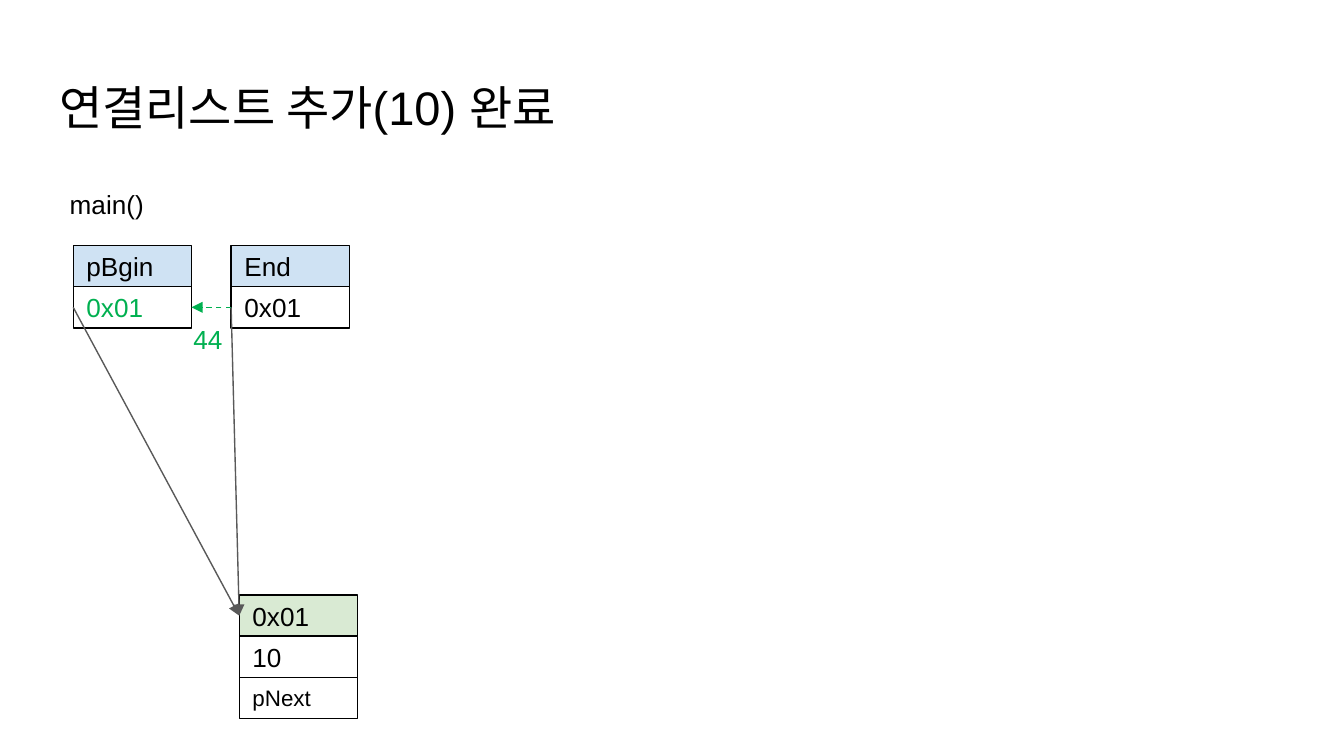
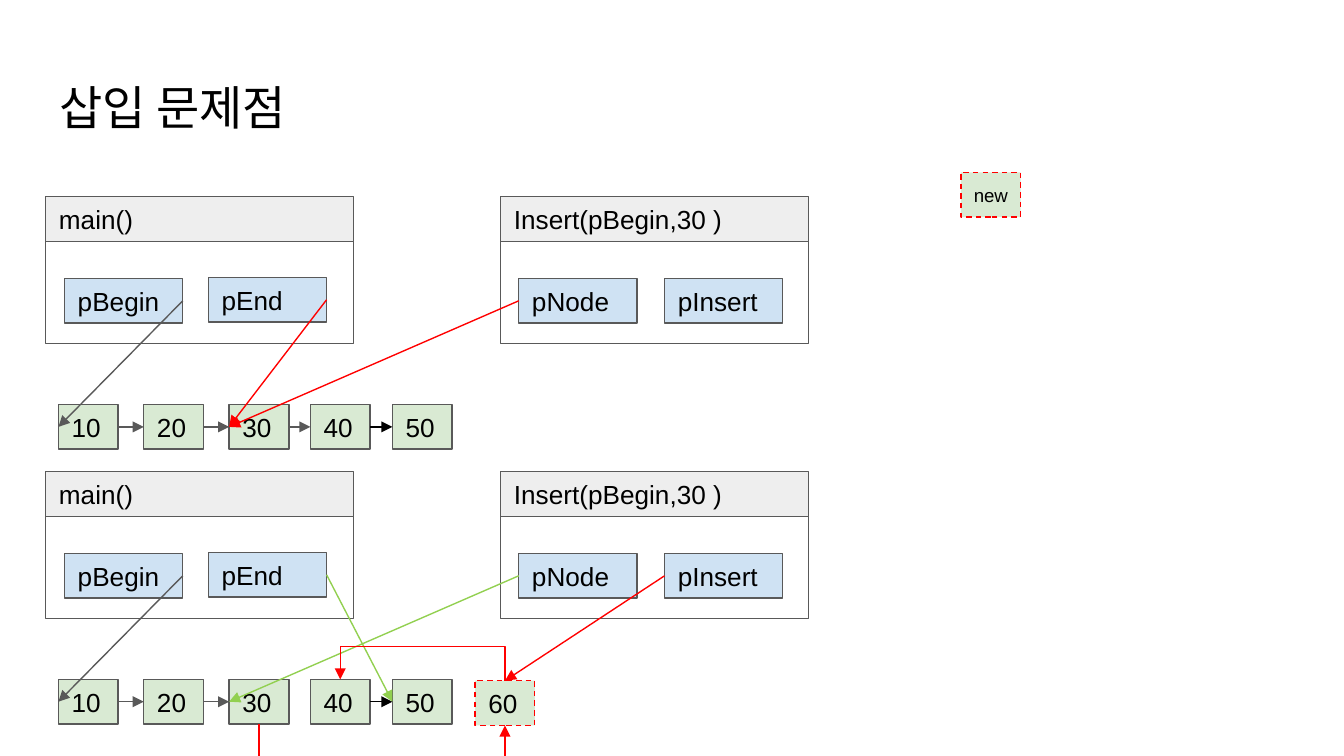
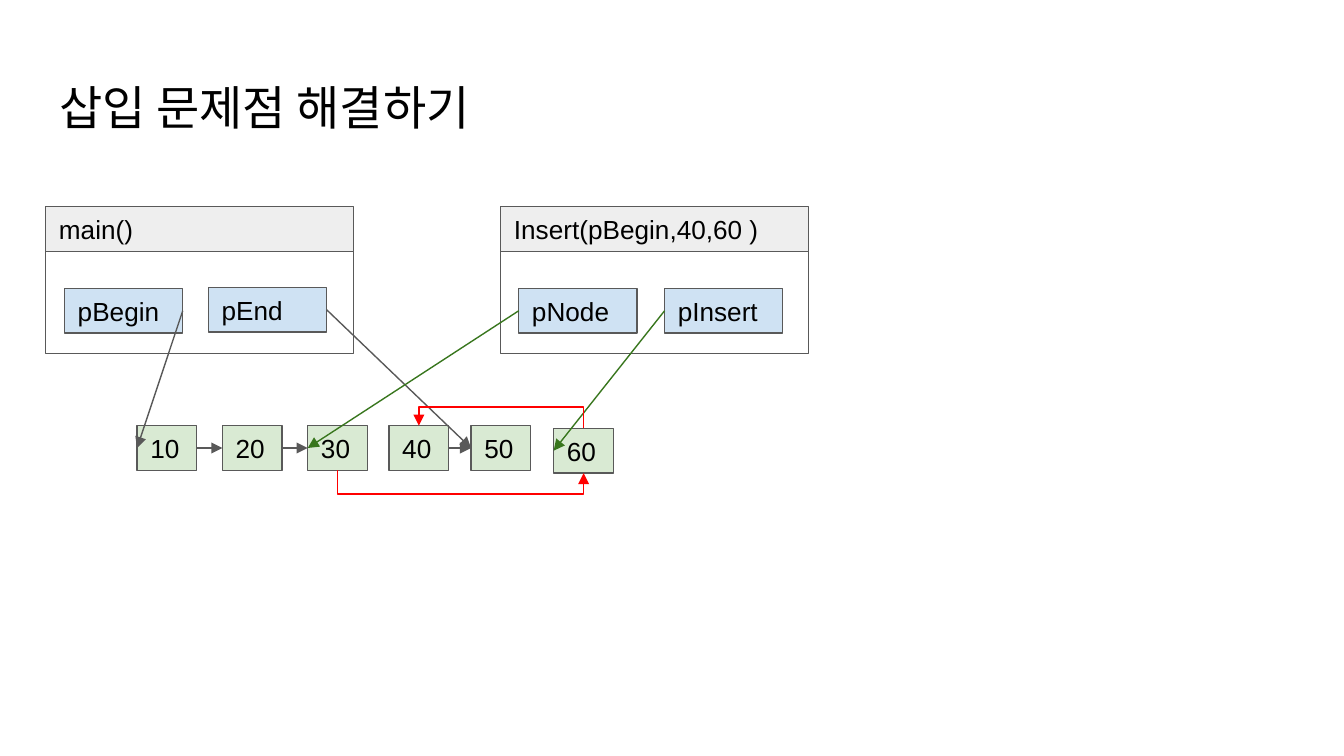
from dataclasses import dataclass
from typing import Optional

from lxml import etree
from pptx import Presentation
from pptx.dml.color import RGBColor
from pptx.enum import dml, shapes, text
from pptx.oxml.ns import qn
from pptx import util as u


# Theme: colours, type sizes and shared measures
@dataclass(frozen=True)
class Theme:
    font: str = "Arial"
    title_size: float = 25.2
    body_size: float = 14
    field_size: float = 12
    tag_size: float = 10
    line_width: float = 0.75
    inset: float = 1
    black: str = "000000"
    white: str = "FFFFFF"
    grey: str = "595959"
    header: str = "EEEEEE"
    pointer: str = "CFE2F3"
    node: str = "D9EAD3"
    red: str = "FF0000"
    green: str = "00B050"
    lime: str = "92D050"
    dark_green: str = "38761D"


T = Theme()

# Grid: 100 columns and 56.25 rows of square cells
COLUMNS, ROWS = 100, 56.25
WIDTH = u.Inches(10)
HEIGHT = int(WIDTH * ROWS / COLUMNS)

# Connection sites of a rectangle
TOP, LEFT, BOTTOM, RIGHT = range(4)

CELL_W, CELL_H = 8.8, 3.06
FRAME_W, HEADER_H, BODY_H = 22.9, 3.35, 7.6
POINTER_W, NODE_W, BOX_H = 8.8, 4.45, 3.33
MAIN_X, INSERT_X = 3.4, 37.25
LIST_STEPS = {"10": 0, "20": 6.35, "30": 12.7, "40": 18.75, "50": 24.85}
ADDED_STEP = 31


def grid(cells: float) -> int:
    return int(WIDTH * cells / COLUMNS)


@dataclass(frozen=True)
class Box:
    x: float
    y: float
    w: float
    h: float
    label: str = ""
    fill: str = T.white
    line: str = T.grey
    color: str = T.black
    size: float = T.body_size
    dashed: bool = False
    centred: bool = False


@dataclass(frozen=True)
class Pointer:
    label: str
    dx: float
    dy: float = 6.1


@dataclass(frozen=True)
class Arrow:
    src: str
    dst: str
    color: str = T.grey
    leave: int = RIGHT
    enter: int = LEFT
    dashed: bool = False
    via: Optional[float] = None  # row of the middle segment of a bent arrow


MAIN_POINTERS = (Pointer("pBegin", 1.4), Pointer("pEnd", 12.1, 6.02))
INSERT_POINTERS = (Pointer("pNode", 1.35), Pointer("pInsert", 12.2))


# Drawing functions
def write(tf, label: str, size: float, color: str = T.black) -> None:
    p = tf.paragraphs[0]
    r = p.add_run()
    r.text = label
    r.font.name, r.font.size = T.font, u.Pt(size)
    r.font.color.rgb = RGBColor.from_string(color)


def set_frame(tf, anchor, inset: float = T.inset, centred: bool = False) -> None:
    tf.word_wrap = True
    tf.vertical_anchor = anchor
    tf.margin_left = tf.margin_right = tf.margin_top = tf.margin_bottom = grid(inset)
    tf.paragraphs[0].alignment = text.PP_ALIGN.CENTER if centred else text.PP_ALIGN.LEFT


def set_line(line, color: str, dashed: bool) -> None:
    line.color.rgb = RGBColor.from_string(color)
    line.width = u.Pt(T.line_width)
    if dashed:
        line.dash_style = dml.MSO_LINE.DASH


def add_slide(prs, title: str):
    s = prs.slides.add_slide(prs.slide_layouts[5])
    sp = s.shapes.title
    sp.left, sp.top, sp.width, sp.height = map(grid, (3.4, 4.87, 93.2, 6.26))
    set_frame(sp.text_frame, text.MSO_ANCHOR.TOP)
    sp.text_frame.auto_size = text.MSO_AUTO_SIZE.NONE
    write(sp.text_frame, title, T.title_size)
    return s


def add_label(s, x: float, y: float, w: float, label: str, color: str = T.black) -> None:
    sp = s.shapes.add_textbox(*map(grid, (x, y, w, 4.4)))
    set_frame(sp.text_frame, text.MSO_ANCHOR.TOP)
    sp.text_frame.auto_size = text.MSO_AUTO_SIZE.SHAPE_TO_FIT_TEXT
    write(sp.text_frame, label, T.body_size, color)


def add_box(s, box: Box):
    sp = s.shapes.add_shape(shapes.MSO_SHAPE.RECTANGLE,
                            *map(grid, (box.x, box.y, box.w, box.h)))
    sp.shadow.inherit = False
    sp.fill.solid()
    sp.fill.fore_color.rgb = RGBColor.from_string(box.fill)
    set_line(sp.line, box.line, box.dashed)
    set_frame(sp.text_frame, text.MSO_ANCHOR.MIDDLE,
              0 if box.centred else T.inset, box.centred)
    if box.label:
        write(sp.text_frame, box.label, box.size, box.color)
    return sp


def bend(c, via: int) -> None:
    """Turn an elbow connector into a U whose middle segment lies at height via."""
    x1, y1, x2, y2 = c.begin_x, c.begin_y, c.end_x, c.end_y
    dx, dy = x2 - x1, y2 - y1
    w, h = abs(dy), abs(dx)
    c.left, c.top = (x1 + x2 - w) // 2, (y1 + y2 - h) // 2
    c.width, c.height = w, h
    xfrm = c._element.spPr.find(qn("a:xfrm"))
    xfrm.set("rot", str(90 * 60000))
    xfrm.set("flipH", str(int(dy < 0)))
    xfrm.set("flipV", str(int(dx > 0)))
    guides = c._element.spPr.find(qn("a:prstGeom")).get_or_add_avLst()
    share = round((via - y1) / dy * 100000)
    etree.SubElement(guides, qn("a:gd"), name="adj1", fmla=f"val {share}")


def add_arrows(s, boxes: dict, arrows) -> None:
    for arrow in arrows:
        kind = (shapes.MSO_CONNECTOR.STRAIGHT if arrow.via is None
                else shapes.MSO_CONNECTOR.ELBOW)
        c = s.shapes.add_connector(kind, 0, 0, 0, 0)
        c.begin_connect(boxes[arrow.src], arrow.leave)
        c.end_connect(boxes[arrow.dst], arrow.enter)
        if arrow.via is not None:
            bend(c, grid(arrow.via))
        set_line(c.line, arrow.color, arrow.dashed)
        etree.SubElement(c.line._get_or_add_ln(), qn("a:tailEnd"), type="triangle")
        etree.SubElement(c._element.spPr, qn("a:effectLst"))


def add_stack(s, x: float, y: float, cells) -> list:
    """Cells are (label, fill, text colour, size), drawn from top to bottom."""
    return [add_box(s, Box(x, y + i * CELL_H, CELL_W, CELL_H, label, fill,
                           T.black, color, size))
            for i, (label, fill, color, size) in enumerate(cells)]


def add_function(s, x: float, y: float, name: str, pointers) -> dict:
    add_box(s, Box(x, y, FRAME_W, HEADER_H, name, T.header))
    add_box(s, Box(x, y + HEADER_H, FRAME_W, BODY_H))
    return {p.label: add_box(s, Box(x + p.dx, y + p.dy, POINTER_W, BOX_H,
                                    p.label, T.pointer))
            for p in pointers}


def add_state(s, y: float, call: str, list_x: float, list_y: float) -> dict:
    """Both functions with their pointers, and the linked list below them."""
    boxes = add_function(s, MAIN_X, y, "main()", MAIN_POINTERS)
    boxes.update(add_function(s, INSERT_X, y, call, INSERT_POINTERS))
    for label, step in LIST_STEPS.items():
        boxes[label] = add_box(s, Box(list_x + step, list_y, NODE_W, BOX_H,
                                      label, T.node))
    return boxes


# Slides
def append_done(prs) -> None:
    s = add_slide(prs, "연결리스트 추가(10) 완료")
    add_label(s, 4.2, 13.05, 54.9, "main()")

    def variable(x: float, name: str, color: str):
        return add_stack(s, x, 18.28, ((name, T.pointer, T.black, T.body_size),
                                       ("0x01", T.white, color, T.body_size)))[1]

    boxes = {"begin": variable(5.45, "pBgin", T.green),
             "end": variable(17.2, "End", T.black)}
    boxes["node"] = add_stack(s, 17.8, 44.28, (
        ("0x01", T.node, T.black, T.body_size),
        ("10", T.white, T.black, T.body_size),
        ("pNext", T.white, T.black, T.field_size)))[0]
    add_arrows(s, boxes, (
        Arrow("end", "node", leave=LEFT),
        Arrow("end", "begin", T.green, LEFT, RIGHT, dashed=True),
        Arrow("begin", "node", leave=LEFT)))
    add_label(s, 13.4, 23.1, 4.7, "44", T.green)


def insert_problem(prs) -> None:
    s = add_slide(prs, "삽입 문제점")
    call, list_x = "Insert(pBegin,30 )", 4.35
    shared = (Arrow("pBegin", "10"), Arrow("10", "20"), Arrow("20", "30"),
              Arrow("40", "50", T.black))

    # Before the insertion
    before = add_state(s, 14.62, call, list_x, 30.1)
    add_arrows(s, before, shared + (
        Arrow("30", "40"),
        Arrow("pEnd", "30", T.red),
        Arrow("pNode", "30", T.red, LEFT)))

    # After the insertion
    after = add_state(s, 35.08, call, list_x, 50.55)
    after["60"] = add_box(s, Box(list_x + ADDED_STEP, 50.65, NODE_W, BOX_H, "60",
                                 T.node, T.red, dashed=True))
    add_arrows(s, after, shared + (
        Arrow("pEnd", "50", T.lime),
        Arrow("pNode", "30", T.lime, LEFT),
        Arrow("30", "60", T.red, BOTTOM, BOTTOM, via=56.5),
        Arrow("60", "40", T.red, TOP, TOP, via=48.05),
        Arrow("pInsert", "60", T.red, LEFT, TOP)))

    # Legend
    add_box(s, Box(71.5, 12.83, NODE_W, BOX_H, "new", T.node, T.red,
                   size=T.tag_size, dashed=True, centred=True))


def insert_solved(prs) -> None:
    s = add_slide(prs, "삽입 문제점 해결하기")
    list_x, list_y = 10.2, 31.67
    boxes = add_state(s, 15.36, "Insert(pBegin,40,60 )", list_x, list_y)
    boxes["60"] = add_box(s, Box(list_x + ADDED_STEP, list_y + 0.2, NODE_W, BOX_H,
                                 "60", T.node))
    add_arrows(s, boxes, (
        Arrow("pBegin", "10"),
        Arrow("pEnd", "50"),
        Arrow("10", "20"),
        Arrow("20", "30"),
        Arrow("40", "50"),
        Arrow("pNode", "30", T.dark_green, LEFT),
        Arrow("pInsert", "60", T.dark_green, LEFT),
        Arrow("30", "60", T.red, BOTTOM, BOTTOM, via=36.75),
        Arrow("60", "40", T.red, TOP, TOP, via=30.3)))


def main() -> None:
    prs = Presentation()
    prs.slide_width, prs.slide_height = WIDTH, HEIGHT
    for build in (append_done, insert_problem, insert_solved):
        build(prs)
    prs.save("out.pptx")


if __name__ == "__main__":
    main()
